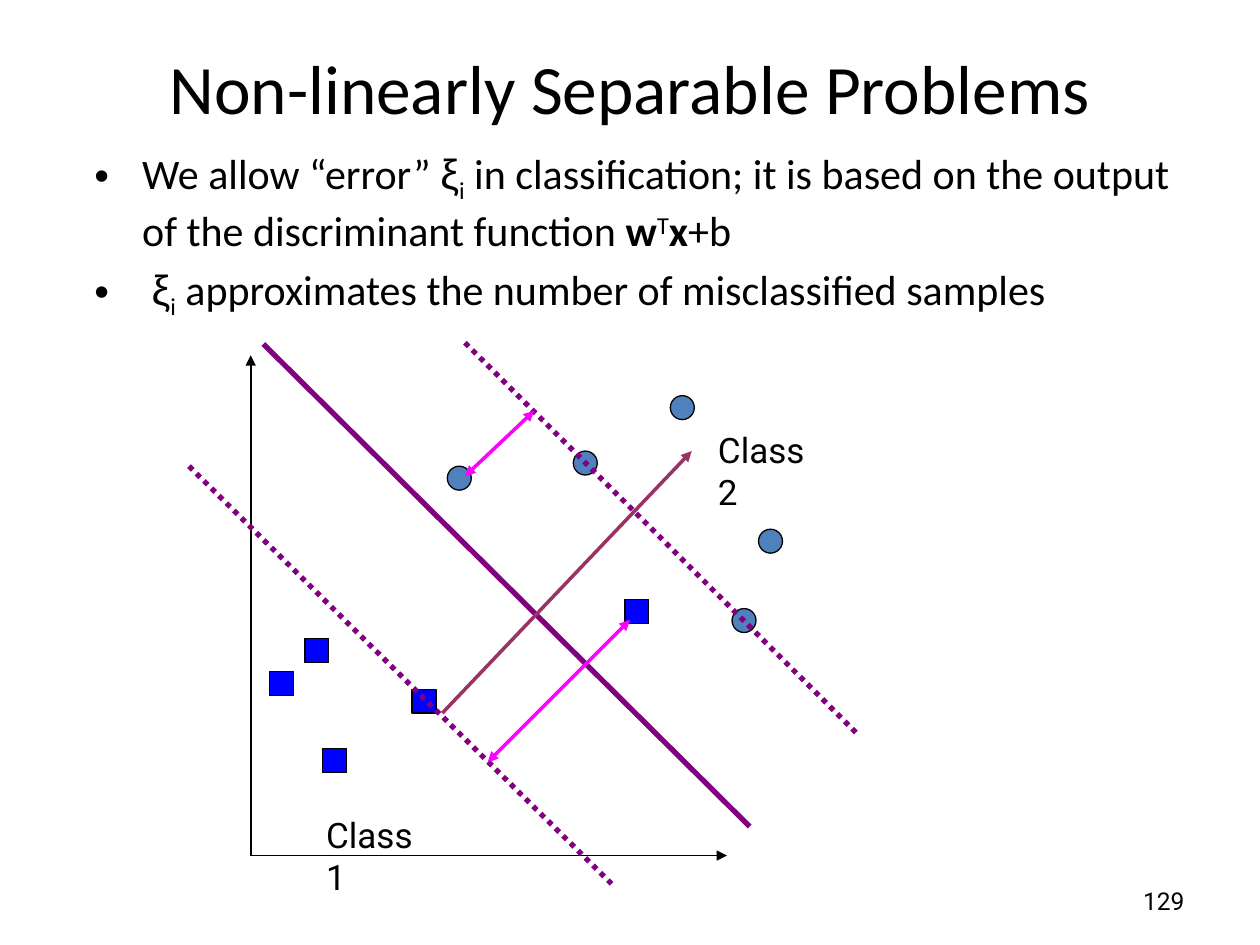
import pptx
import pptx.util
import pptx.dml.color
import pptx.enum.dml
import pptx.enum.shapes
import pptx.enum.text
import pptx.oxml.ns
from lxml import etree

Inches = pptx.util.Inches
Pt = pptx.util.Pt
RGBColor = pptx.dml.color.RGBColor
ALIGN = pptx.enum.text.PP_ALIGN
ANCHOR = pptx.enum.text.MSO_ANCHOR
SHAPE = pptx.enum.shapes.MSO_SHAPE
DOTTED = pptx.enum.dml.MSO_LINE.ROUND_DOT
qn = pptx.oxml.ns.qn

BLACK = RGBColor(0x00, 0x00, 0x00)
CIRCLE_BLUE = RGBColor(0x4F, 0x81, 0xBD)
SQUARE_BLUE = RGBColor(0x00, 0x00, 0xFF)
PURPLE = RGBColor(0x80, 0x00, 0x80)
PLUM = RGBColor(0x99, 0x33, 0x66)
MAGENTA = RGBColor(0xFF, 0x00, 0xFF)

prs = pptx.Presentation()
prs.slide_width, prs.slide_height = Inches(10), Inches(7.5)
s = prs.slides.add_slide(prs.slide_layouts[6])


def add_text(box, paragraphs, size, font="Calibri", align=ALIGN.LEFT,
             anchor=ANCHOR.TOP, bullet=False):
    """Each paragraph is a list of (text, format) runs; format may hold font, bold, baseline."""
    tf = s.shapes.add_textbox(*[Inches(v) for v in box]).text_frame
    tf.word_wrap = True
    tf.vertical_anchor = anchor
    for i, runs in enumerate(paragraphs):
        p = tf.add_paragraph() if i else tf.paragraphs[0]
        p.alignment = align
        if i:
            p.space_before = Pt(size * 0.2)
        if bullet:
            pPr = p._p.get_or_add_pPr()
            pPr.set("marL", str(Inches(0.38)))
            pPr.set("indent", str(-Inches(0.38)))
            etree.SubElement(pPr, qn("a:buFont"), typeface="Arial")
            etree.SubElement(pPr, qn("a:buChar"), char="•")
        for text, fmt in runs:
            r = p.add_run()
            r.text = text
            r.font.size = Pt(size)
            r.font.name = fmt.get("font", font)
            r.font.bold = fmt.get("bold", False)
            r.font.color.rgb = BLACK
            if "baseline" in fmt:
                r._r.get_or_add_rPr().set("baseline", str(fmt["baseline"] * 1000))


def add_line(start, end, color, width, dash=None, arrows=()):
    """arrows names the ends that get a triangle: headEnd is start, tailEnd is end."""
    line = s.shapes.add_connector(pptx.enum.shapes.MSO_CONNECTOR.STRAIGHT,
                                  *[Inches(v) for v in start + end])
    line.line.color.rgb = color
    line.line.width = Pt(width)
    if dash:
        line.line.dash_style = dash
    for arrow in arrows:
        etree.SubElement(line.line._get_or_add_ln(), qn("a:" + arrow), type="triangle")
    etree.SubElement(line._element.spPr, qn("a:effectLst"))


add_text((0.5, 0.3, 9, 0.78), [[("Non-linearly Separable Problems", {})]], 39.6,
         align=ALIGN.CENTER, anchor=ANCHOR.MIDDLE)

xi = [("ξ", {"font": "Arial"}), ("i", {"baseline": -25})]
add_text((0.65, 1.12, 9, 4.95), [
    [("We allow “error” ", {}), *xi,
     (" in classification; it is based on the output of the discriminant function ", {}),
     ("w", {"bold": True}), ("T", {"baseline": 30}), ("x", {"bold": True}), ("+b", {})],
    [(" ", {}), *xi, (" approximates the number of misclassified samples", {})],
], 24, bullet=True)

add_text((7.17, 6.95, 2.33, 0.4), [[("129", {})]], 14, font="Roboto",
         align=ALIGN.RIGHT, anchor=ANCHOR.MIDDLE)

# Axes
origin = (1.99, 6.79)
for axis_end in [(1.99, 2.82), (5.77, 6.79)]:
    add_line(origin, axis_end, BLACK, 1, arrows=["tailEnd"])

# Samples of the two classes
circles = [(4.55, 3.58), (5.32, 3.14), (5.81, 4.83), (3.55, 3.7), (6.02, 4.2)]
squares = [(2.42, 5.07), (4.96, 4.76), (3.27, 5.47), (2.56, 5.94), (2.14, 5.33)]
for kind, color, places in [(SHAPE.OVAL, CIRCLE_BLUE, circles),
                            (SHAPE.RECTANGLE, SQUARE_BLUE, squares)]:
    for x, y in places:
        sp = s.shapes.add_shape(kind, Inches(x), Inches(y), Inches(0.19), Inches(0.19))
        sp.shadow.inherit = False
        sp.fill.solid()
        sp.fill.fore_color.rgb = color
        sp.line.color.rgb = BLACK
        sp.line.width = Pt(0.75)

for label, x, y in [("Class 1", 2.49, 6.41), ("Class 2", 5.6, 3.35)]:
    add_text((x, y, 1.06, 0.43), [[(label, {})]], 20, font="Roboto")

# Margins, decision boundary, normal vector and errors
add_line((3.69, 2.72), (6.81, 5.83), PURPLE, 3, dash=DOTTED)
add_line((1.5, 3.7), (4.87, 7.03), PURPLE, 3, dash=DOTTED)
add_line((2.09, 2.73), (5.95, 6.56), PURPLE, 3)
add_line((3.51, 5.66), (5.49, 3.58), PLUM, 2, arrows=["tailEnd"])
for sample, margin in [((5, 4.92), (3.87, 6.05)), ((3.69, 3.78), (4.24, 3.26))]:
    add_line(sample, margin, MAGENTA, 2, arrows=["headEnd", "tailEnd"])

prs.save("out.pptx")
